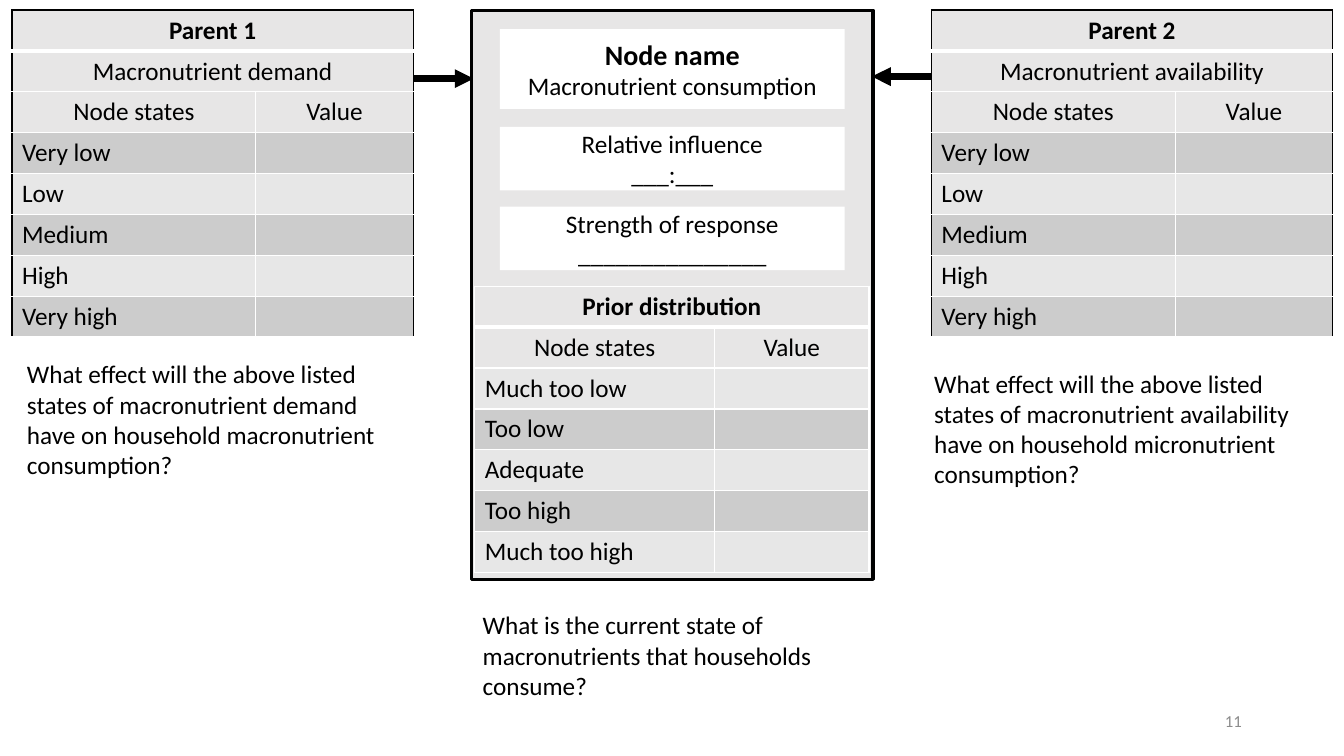
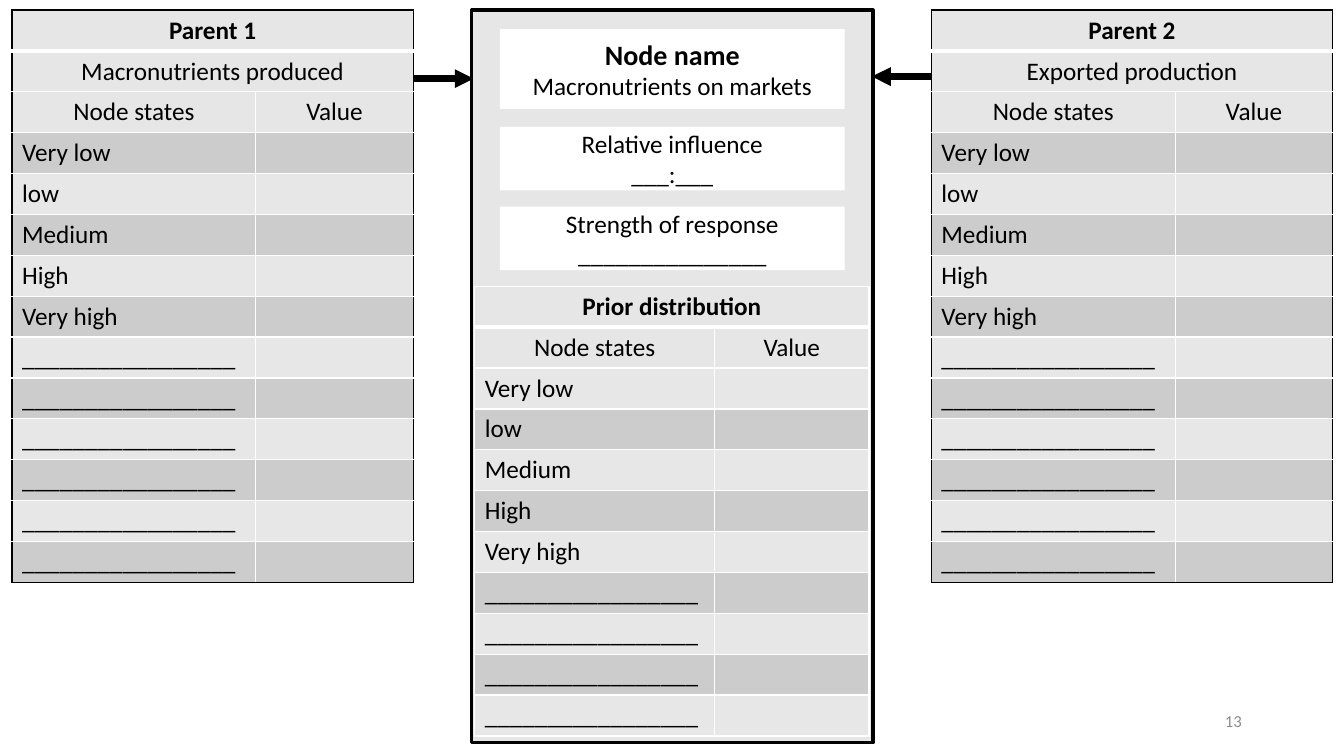
"""Build two network-node elicitation slides with parent tables and a node panel."""
from lxml import etree
from pptx import Presentation
from pptx.dml.color import RGBColor
from pptx.enum import shapes, text
from pptx.oxml.ns import qn
from pptx.util import Pt

BLACK = RGBColor(0x00, 0x00, 0x00)
WHITE = RGBColor(0xFF, 0xFF, 0xFF)
HEADER = RGBColor(0xE7, 0xE6, 0xE6)
LIGHT = RGBColor(0xE7, 0xE7, 0xE7)
DARK = RGBColor(0xCC, 0xCC, 0xCC)
GREY = RGBColor(0x8C, 0x8C, 0x8C)
FONT = "Calibri"
CENTER = text.PP_ALIGN.CENTER

TOP, ROW_H = 7.2, 29.2
PARENT_X, PARENT_COLS = (8.6, 665.3), (174.2, 112.4)
PANEL_X, PANEL_W = 337, 286.6
PRIOR_X, PRIOR_Y, PRIOR_COLS = 339.1, 204.5, (171.4, 110.2)
PANEL_PAD = 5
BOX_X, BOX_W = 357.1, 246.2
NOTE_W = 285
ARROWS = ((225.4, 61.2, 338.4, 56.2), (722.2, 56.2, 622.8, 54.7))

BLANK = "_" * 17
LEVELS = ["Very low", "Low", "Medium", "High", "Very high"]
MARKET_LEVELS = ["Very low", "low", "Medium", "High", "Very high"]

SLIDES = (
    dict(
        number="11",
        node="Macronutrient consumption",
        parents=("Macronutrient demand", "Macronutrient availability"),
        parent_states=LEVELS,
        node_states=["Much too low", "Too low", "Adequate", "Too high", "Much too high"],
        bottom=WHITE,
        notes=(
            (337.7, 432, 72.7, "What is the current state of macronutrients that households consume?"),
            (660.2, 259.2, 94.3, "What effect will the above listed states of macronutrient availability "
                                 "have on household micronutrient consumption?"),
            (12.2, 252.7, 94.3, "What effect will the above listed states of macronutrient demand "
                                "have on household macronutrient consumption?"),
        ),
    ),
    dict(
        number="13",
        node="Macronutrients on markets",
        parents=("Macronutrients produced", "Exported production"),
        parent_states=MARKET_LEVELS + [BLANK] * 6,
        node_states=MARKET_LEVELS + [BLANK] * 4,
        bottom=BLACK,
        notes=(),
    ),
)


def set_text(p, words, size=18, bold=False, color=BLACK, align=None):
    """Fill a paragraph and set its font."""
    if words:
        p.add_run().text = words
    p.alignment = align
    p.font.name = FONT
    p.font.size = Pt(size)
    p.font.bold = bold
    p.font.color.rgb = color


def add_arrow(s, x1, y1, x2, y2):
    """Add a thick elbow arrow."""
    c = s.shapes.add_connector(shapes.MSO_CONNECTOR.ELBOW, Pt(x1), Pt(y1), Pt(x2), Pt(y2))
    c.line.color.rgb = BLACK
    c.line.width = Pt(4.5)
    sp_pr = c.element.spPr
    etree.SubElement(sp_pr.find(qn("a:ln")), qn("a:tailEnd"), type="triangle")
    etree.SubElement(sp_pr, qn("a:effectLst"))


def add_box(s, x, y, w, h, fill, line=None):
    """Add a filled rectangle, outlined if a line colour is given."""
    sp = s.shapes.add_shape(shapes.MSO_SHAPE.RECTANGLE, Pt(x), Pt(y), Pt(w), Pt(h))
    sp.shadow.inherit = False
    sp.fill.solid()
    sp.fill.fore_color.rgb = fill
    if line is None:
        sp.line.fill.background()
    else:
        sp.line.color.rgb = line
        sp.line.width = Pt(2.25)
    return sp


def add_label(s, y, h, heading, detail, size=18, bold=False):
    """Add a white two-line box in the node panel."""
    tf = add_box(s, BOX_X, y, BOX_W, h, WHITE).text_frame
    tf.vertical_anchor = text.MSO_ANCHOR.MIDDLE
    set_text(tf.paragraphs[0], heading, size, bold, align=CENTER)
    set_text(tf.add_paragraph(), detail, align=CENTER)


def add_note(s, x, y, w, h, words, **style):
    """Add a wrapped text box."""
    tf = s.shapes.add_textbox(Pt(x), Pt(y), Pt(w), Pt(h)).text_frame
    tf.word_wrap = True
    set_text(tf.paragraphs[0], words, **style)
    return tf


def set_border(cell, side, color, width=1):
    """Draw one side of a cell: L, R, T or B."""
    ln = etree.SubElement(cell._tc.get_or_add_tcPr(), qn("a:ln" + side), w=str(Pt(width)))
    fill = etree.SubElement(ln, qn("a:solidFill"))
    etree.SubElement(fill, qn("a:srgbClr"), val=str(color))


def add_states(s, x, y, cols, titles, states, outer=WHITE, bottom=WHITE):
    """Add a table of merged titles, column heads and states."""
    rows = [(t, "") for t in titles] + [("Node states", "Value")] + [(t, "") for t in states]
    head, last = len(titles), len(rows) - 1
    frame = s.shapes.add_table(len(rows), 2, Pt(x), Pt(y), Pt(sum(cols)), Pt(ROW_H * len(rows)))
    table = frame.table
    table.first_row = table.horz_banding = False
    for col, w in zip(table.columns, cols):
        col.width = Pt(w)
    for i, row in enumerate(rows):
        table.rows[i].height = Pt(ROW_H)
        merged = i < head
        fill = HEADER if i <= head else DARK if i % 2 else LIGHT
        for j, words in enumerate(row):
            cell = table.cell(i, j)
            set_border(cell, "L", outer if merged or j == 0 else WHITE)
            set_border(cell, "R", outer if merged or j == 1 else WHITE)
            set_border(cell, "T", outer if i == 0 else WHITE, 3 if i == 1 else 1)
            set_border(cell, "B", bottom if i == last else WHITE, 3 if i == 0 else 1)
            cell.fill.solid()
            cell.fill.fore_color.rgb = fill
            set_text(cell.text_frame.paragraphs[0], words, bold=i == 0,
                     align=CENTER if i <= head else None)
        if merged:
            table.cell(i, 0).merge(table.cell(i, 1))


def add_node_slide(prs, number, node, parents, parent_states, node_states, bottom, notes):
    """Add one slide with a node panel between its two parents."""
    s = prs.slides.add_slide(prs.slide_layouts[6])
    for ends in ARROWS:
        add_arrow(s, *ends)
    panel_h = PRIOR_Y + ROW_H * (len(node_states) + 2) + PANEL_PAD - TOP
    add_box(s, PANEL_X, TOP, PANEL_W, panel_h, HEADER, BLACK)
    add_label(s, 90.7, 45.4, "Relative influence", "___:___")
    add_label(s, 147.6, 45.4, "Strength of response", "_" * 15)
    add_label(s, 20.9, 56.9, "Node name", node, size=20, bold=True)
    for i, (x, parent) in enumerate(zip(PARENT_X, parents), 1):
        add_states(s, x, TOP, PARENT_COLS, [f"Parent {i}", parent], parent_states, BLACK, bottom)
    add_states(s, PRIOR_X, PRIOR_Y, PRIOR_COLS, ["Prior distribution"], node_states)
    for x, y, h, words in notes:
        add_note(s, x, y, NOTE_W, h, words)
    tf = add_note(s, 678.2, 500.4, 216, 28.8, number, size=12, color=GREY,
                  align=text.PP_ALIGN.RIGHT)
    tf.vertical_anchor = text.MSO_ANCHOR.MIDDLE


def main():
    """Build and save the slides."""
    prs = Presentation()
    prs.slide_width, prs.slide_height = Pt(960), Pt(540)
    for content in SLIDES:
        add_node_slide(prs, **content)
    prs.save("out.pptx")


if __name__ == "__main__":
    main()
